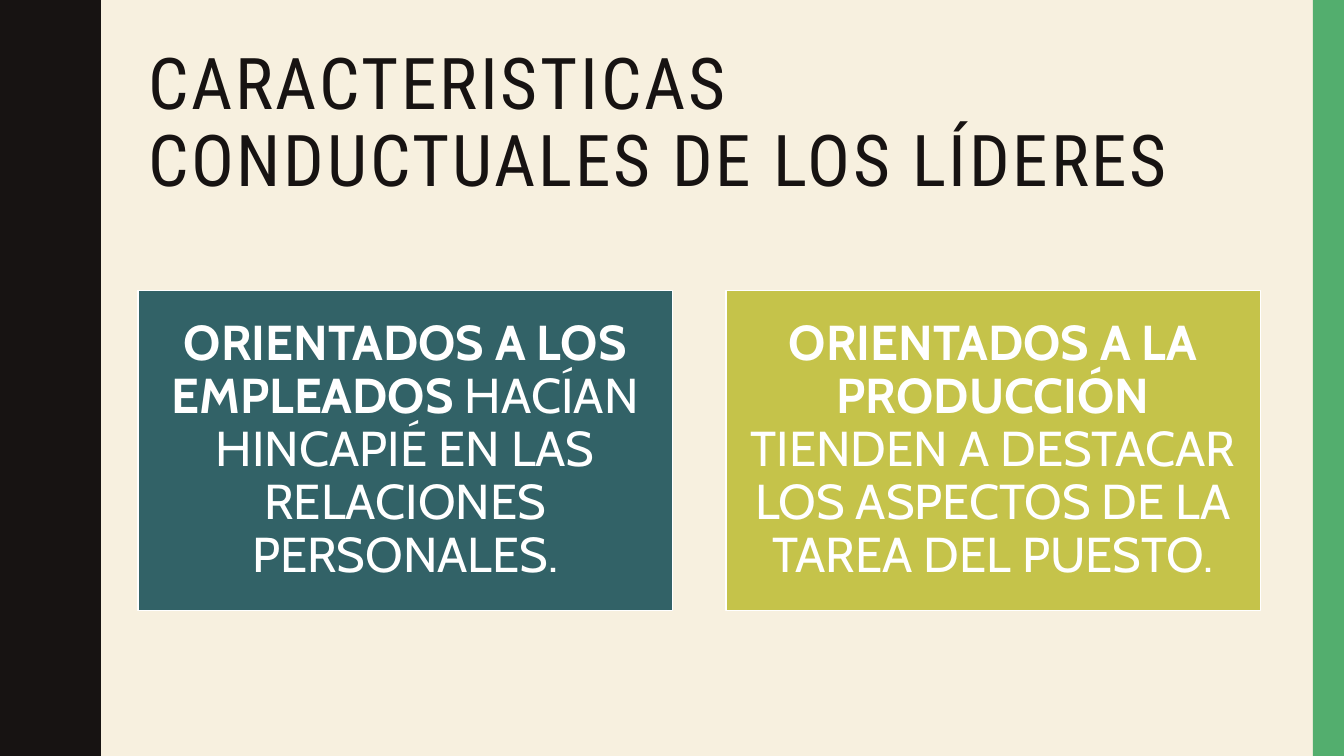
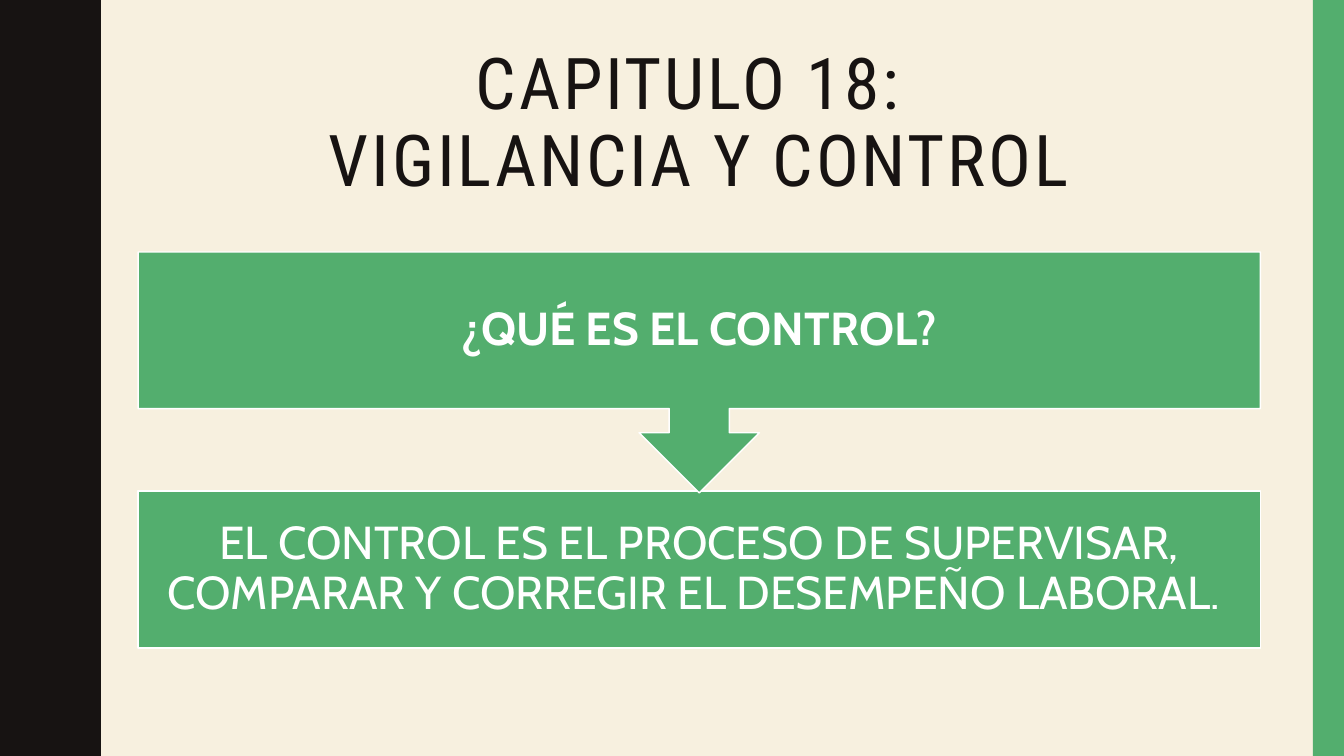
from pptx import Presentation
from pptx.dml.color import RGBColor
from pptx.enum.shapes import MSO_SHAPE
from pptx.enum.text import MSO_ANCHOR, PP_ALIGN
from pptx.util import Inches, Pt

RECT = MSO_SHAPE.RECTANGLE
CALLOUT = MSO_SHAPE.UP_ARROW_CALLOUT
MIDDLE = MSO_ANCHOR.MIDDLE
LEFT, CENTER = PP_ALIGN.LEFT, PP_ALIGN.CENTER

CREAM = RGBColor(0xF7, 0xF0, 0xDF)
BLACK = RGBColor(0x17, 0x13, 0x12)
GREEN = RGBColor(0x53, 0xAE, 0x6E)
TEAL = RGBColor(0x32, 0x62, 0x67)
LIME = RGBColor(0xC5, 0xC3, 0x4A)
WHITE = RGBColor(0xFF, 0xFF, 0xFF)

WIDE, HIGH = 13.33, 7.5
EDGE, SPAN = 1.37, 11.13  # left and width of the content area

# Half a wave of the left band, as (x, y); the other half mirrors it
PERIOD = 1.5
HALF = [(0.78, 0), (0.78, 0.07), (0.79, 0.14), (0.8, 0.2), (0.81, 0.25),
        (0.83, 0.29), (0.85, 0.33), (0.87, 0.38), (0.89, 0.42), (0.91, 0.46),
        (0.93, 0.5), (0.95, 0.55), (0.96, 0.61), (0.97, 0.68), (0.97, 0.75)]
WAVE = HALF + [(x, PERIOD - y) for x, y in HALF[-2::-1]]


def write(frame, text, lead="", size=35, font="Cabin", color=WHITE,
          bold=False, align=CENTER, inset=(0.1, 0.05), track=0):
    """Fill a text frame; lead is a bold opening, track is in points."""
    frame.word_wrap = True
    frame.vertical_anchor = MIDDLE
    frame.margin_left = frame.margin_right = Inches(inset[0])
    frame.margin_top = frame.margin_bottom = Inches(inset[1])
    para = frame.paragraphs[0]
    para.alignment = align
    para.line_spacing = 0.9

    def add(part, heavy):
        run = para.add_run()
        run.text = part
        run.font.size = Pt(size)
        run.font.name = font
        run.font.bold = heavy
        run.font.color.rgb = color
        if track:
            run._r.get_or_add_rPr().set("spc", str(track * 100))

    if lead:
        add(lead, True)
    for row, line in enumerate(text.split("\n")):
        if row:
            para.add_line_break()
        add(line, bold)


class Deck:
    def __init__(self):
        self.prs = Presentation()
        self.prs.slide_width = Inches(WIDE)
        self.prs.slide_height = Inches(HIGH)
        self.slide = None

    def page(self, title, align=LEFT):
        """Start a slide with its background, bands and title."""
        self.slide = self.prs.slides.add_slide(self.prs.slide_layouts[6])
        back = self.slide.background.fill
        back.solid()
        back.fore_color.rgb = CREAM
        self.wave()
        self.shape(13.02, 0, 0.31, HIGH, GREEN, border=False)
        self.label(EDGE, 0.42, SPAN, 1.63, title, size=51, align=align,
                   font="Roboto Condensed", color=BLACK, track=2)

    def paint(self, shape, color, border):
        shape.shadow.inherit = False
        shape.fill.solid()
        shape.fill.fore_color.rgb = color
        if border:
            shape.line.color.rgb = WHITE
            shape.line.width = Pt(1)
        else:
            shape.line.fill.background()

    def wave(self):
        """Draw the black band with its wavy right side."""
        count = int(HIGH / PERIOD)
        side = [(x, y + turn * PERIOD) for turn in range(count)
                for x, y in WAVE]
        path = self.slide.shapes.build_freeform(0, 0, scale=Inches(1))
        path.add_line_segments(side + [(0, HIGH)], close=True)
        self.paint(path.convert_to_shape(), BLACK, False)

    def shape(self, x, y, w, h, color, kind=RECT, border=True):
        item = self.slide.shapes.add_shape(
            kind, Inches(x), Inches(y), Inches(w), Inches(h))
        self.paint(item, color, border)
        return item

    def card(self, x, y, w, h, color, text, **style):
        write(self.shape(x, y, w, h, color).text_frame, text, **style)

    def label(self, x, y, w, h, text, **style):
        box = self.slide.shapes.add_textbox(
            Inches(x), Inches(y), Inches(w), Inches(h))
        write(box.text_frame, text, **style)


def main():
    deck = Deck()

    # Leader types: two cards side by side
    deck.page("CARACTERISTICAS CONDUCTUALES DE LOS LÍDERES")
    cards = [
        (TEAL, "ORIENTADOS A LOS EMPLEADOS ",
         "HACÍAN HINCAPIÉ EN LAS RELACIONES PERSONALES."),
        (LIME, "ORIENTADOS A LA PRODUCCIÓN",
         " TIENDEN A DESTACAR LOS ASPECTOS DE LA TAREA DEL PUESTO."),
    ]
    width = 5.3
    step = SPAN - width
    for col, (color, lead, text) in enumerate(cards):
        deck.card(EDGE + col * step, 2.88, width, 3.18, color, text,
                  lead=lead, inset=(0.15, 0.15))

    # Control: a question that points down to its answer
    deck.page("CAPITULO 18: \nVIGILANCIA Y CONTROL", align=CENTER)
    style = {"size": 33, "inset": (0.26, 0.26)}
    tall = 1.56
    deck.card(EDGE, 4.87, SPAN, tall, GREEN,
              "EL CONTROL ES EL PROCESO DE SUPERVISAR, COMPARAR Y CORREGIR "
              "EL DESEMPEÑO LABORAL. ", **style)
    arrow = deck.shape(EDGE, 2.5, SPAN, 2.39, GREEN, kind=CALLOUT)
    arrow.rotation = 180
    deck.label(EDGE, 2.5, SPAN, tall, "¿QUÉ ES EL CONTROL?", bold=True,
               **style)

    deck.prs.save("out.pptx")


if __name__ == "__main__":
    main()
